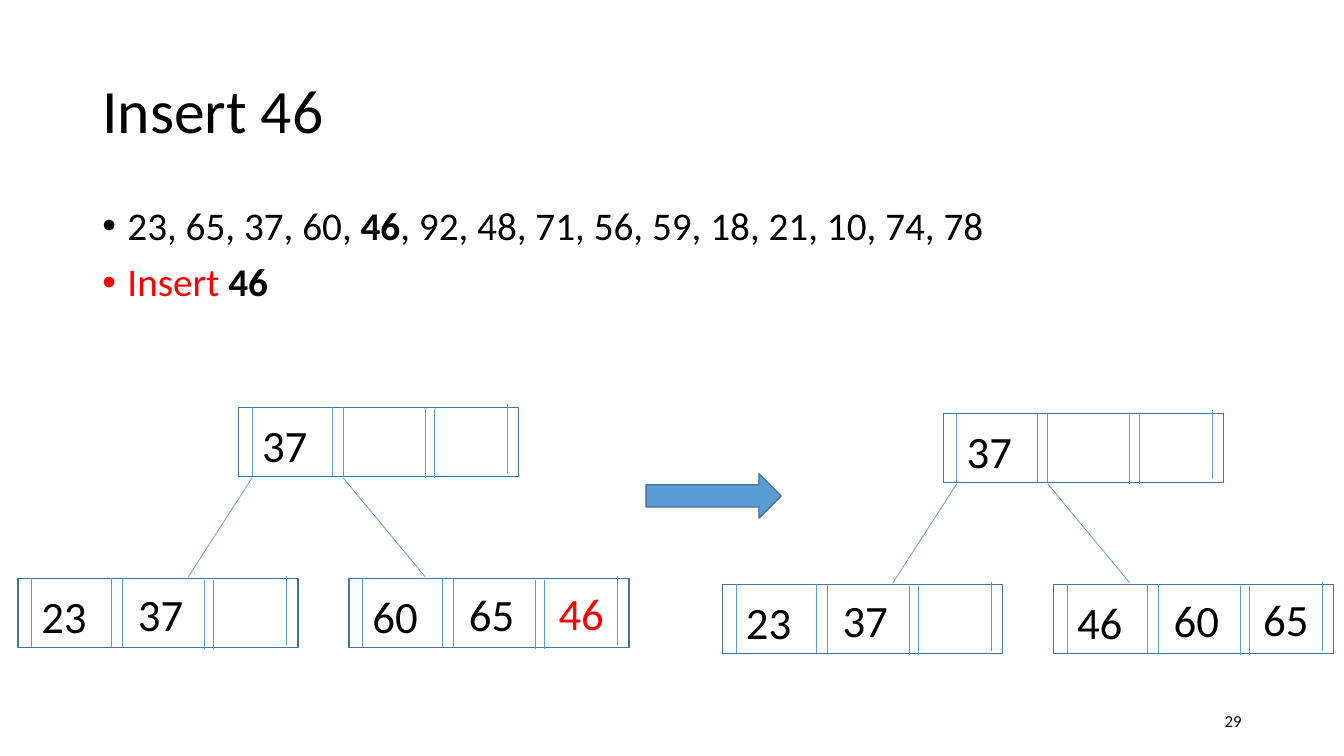
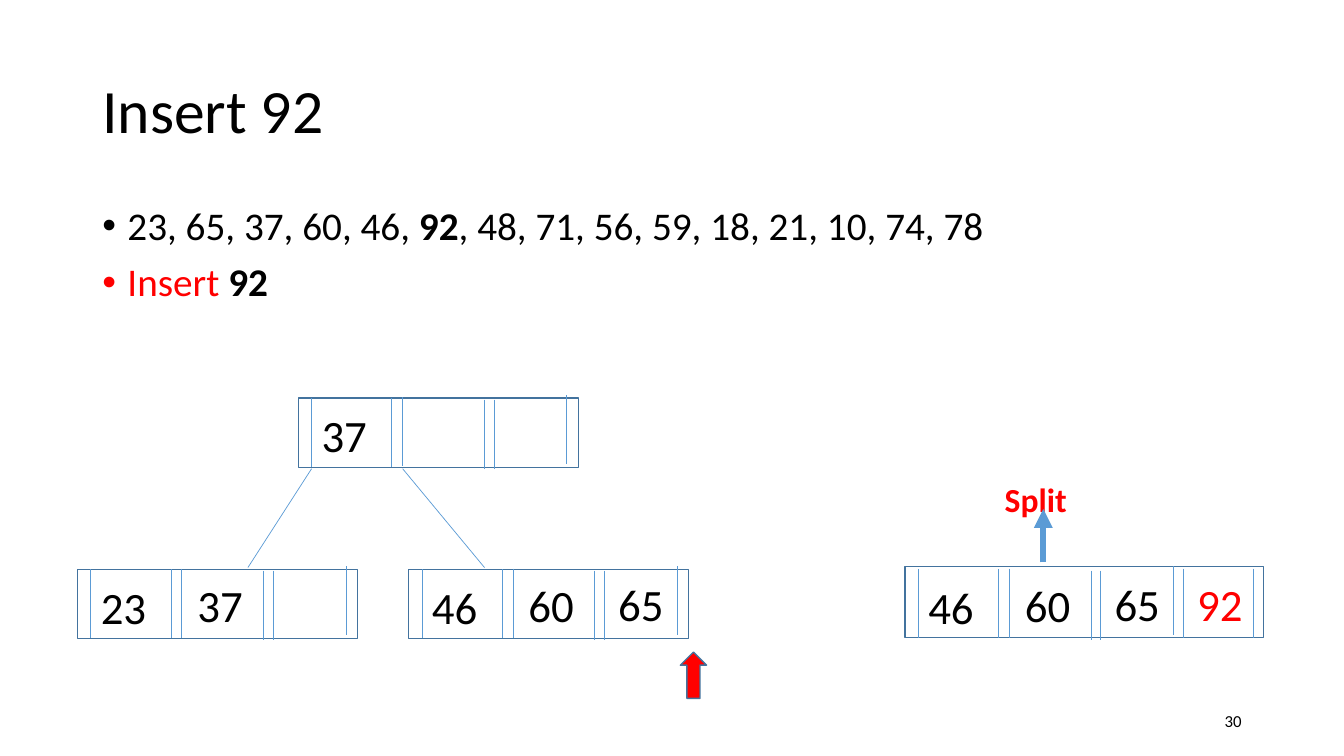
from lxml import etree
from pptx import Presentation
from pptx.dml.color import RGBColor
from pptx.enum import shapes, text
from pptx.oxml import ns
from pptx.util import Pt

BLACK = RGBColor(0x00, 0x00, 0x00)
RED = RGBColor(0xFF, 0x00, 0x00)
BLUE = RGBColor(0x5B, 0x9B, 0xD5)
OUTLINE = RGBColor(0x43, 0x73, 0x9E)
FONT = "Calibri"

SEQUENCE = [23, 65, 37, 60, 46, 92, 48, 71, 56, 59, 18, 21, 10, 74, 78]

# Node geometry, relative to the node's top left corner
NODE_W, NODE_H, RULE_H = 200, 49.5, 49.3
RULES = [(9.5, 0), (66.8, 0), (74.5, -0.5), (133, 1), (139.7, 1), (191.8, -2)]
FOURTH_RULES = [(199, -0.5), (248.5, -0.5)]
KEYS = [(9.5, 3.6), (78.5, 2.4), (142.5, 1.6), (201.6, 1.6)]
# Tree geometry, relative to the root's top left corner
CHILDREN = [(-157.7, 122.2), (78.8, 122.2)]
EDGES = [((9.5, 50.4), (-36, 121)), ((74.5, 50.4), (133, 121))]


def sub(parent, tag, **attrs):
    """Append a DrawingML element."""
    return etree.SubElement(parent, ns.qn(tag), **attrs)


def add_run(p, words, size, color=BLACK, bold=False):
    """Add one formatted run to a paragraph."""
    r = p.add_run()
    r.text = str(words)
    for name, value in dict(name=FONT, size=Pt(size), bold=bold).items():
        setattr(r.font, name, value)
    r.font.color.rgb = color


def add_box(s, x, y, w, h, **frame):
    """Add a wrapping text box and return its text frame."""
    tf = s.shapes.add_textbox(Pt(x), Pt(y), Pt(w), Pt(h)).text_frame
    for name, value in dict(word_wrap=True, **frame).items():
        setattr(tf, name, value)
    return tf


def add_label(s, words, x, y, w, h, size, color=BLACK, bold=False):
    """Add a single-line label."""
    tf = add_box(s, x, y, w, h)
    add_run(tf.paragraphs[0], words, size, color, bold)


def add_shape(s, kind, x, y, w, h, fill=None):
    """Add an outlined preset shape, hollow unless a fill is given."""
    sp = s.shapes.add_shape(kind, Pt(x), Pt(y), Pt(w), Pt(h))
    sp.shadow.inherit = False
    sp.line.color.rgb = OUTLINE
    sp.line.width = Pt(1)
    if fill is None:
        sp.fill.background()
    else:
        sp.fill.solid()
        sp.fill.fore_color.rgb = fill


def add_line(s, x1, y1, x2, y2, width=0.5, arrow=False):
    """Add a straight blue line, with an arrowhead at its end if asked."""
    c = s.shapes.add_connector(shapes.MSO_CONNECTOR.STRAIGHT,
                               Pt(x1), Pt(y1), Pt(x2), Pt(y2))
    c.line.color.rgb = BLUE
    c.line.width = Pt(width)
    if arrow:
        sub(c.line._get_or_add_ln(), "a:tailEnd", type="triangle")
    sub(c._element.spPr, "a:effectLst")


def add_node(s, x, y, keys, new=None):
    """Draw a B-tree node; the newly inserted key is red."""
    wide = len(keys) > 3
    if wide:
        add_shape(s, shapes.MSO_SHAPE.RECTANGLE, x, y - 2, 256, 51)
    else:
        add_shape(s, shapes.MSO_SHAPE.RECTANGLE, x, y, NODE_W, NODE_H)
    for dx, dy in RULES + (FOURTH_RULES if wide else []):
        add_line(s, x + dx, y + dy, x + dx, y + dy + RULE_H)
    for key, (dx, dy) in zip(keys, KEYS):
        add_label(s, key, x + dx, y + dy, 57.3, 46, 32,
                  RED if key == new else BLACK)


def add_tree(s, x, y, root, leaves, new=None):
    """Draw a root node with two leaves below it."""
    add_node(s, x, y, root)
    for (x1, y1), (x2, y2) in EDGES:
        add_line(s, x + x1, y + y1, x + x2, y + y2)
    for keys, (dx, dy) in zip(leaves, CHILDREN):
        add_node(s, x + dx, y + dy, keys, new)


def add_bullet(p, runs):
    """Fill a bulleted paragraph with (text, colour, bold) runs."""
    p.line_spacing = 0.9
    p.space_before = Pt(10)
    pPr = p._p.get_or_add_pPr()
    pPr.set("marL", str(Pt(18)))
    pPr.set("indent", str(Pt(-18)))
    sub(pPr, "a:buFont", typeface="Arial")
    sub(pPr, "a:buChar", char="\u2022")
    for words, color, bold in runs:
        add_run(p, words, 28, color, bold)


def add_slide(prs, key, number):
    """Add a slide with title, key sequence and page number."""
    s = prs.slides.add_slide(prs.slide_layouts[5])
    title = s.shapes.title
    frame = dict(left=66, top=28.8, width=828, height=104.4)
    for name, value in frame.items():
        setattr(title, name, Pt(value))
    title.text_frame.vertical_anchor = text.MSO_ANCHOR.MIDDLE
    p = title.text_frame.paragraphs[0]
    p.alignment = text.PP_ALIGN.LEFT
    p.line_spacing = 0.9
    add_run(p, f"Insert {key}", 44)

    at = SEQUENCE.index(key)
    before = "".join(f"{k}, " for k in SEQUENCE[:at])
    after = "".join(f", {k}" for k in SEQUENCE[at + 1:])
    tf = add_box(s, 66, 144, 828, 342.7)
    add_bullet(tf.paragraphs[0], [(before, BLACK, False), (key, BLACK, True),
                                  (after, BLACK, False)])
    add_bullet(tf.add_paragraph(), [("Insert ", RED, False),
                                    (key, BLACK, True)])

    tf = add_box(s, 678, 500.5, 216, 28.8,
                 vertical_anchor=text.MSO_ANCHOR.MIDDLE)
    tf.paragraphs[0].alignment = text.PP_ALIGN.RIGHT
    add_run(tf.paragraphs[0], number, 12)
    return s


def insert_46(prs):
    """Show 46 joining a leaf, then the leaf sorted."""
    s = add_slide(prs, 46, 29)
    add_tree(s, 170.6, 290.9, [37], [[23, 37], [60, 65, 46]], new=46)
    add_shape(s, shapes.MSO_SHAPE.RIGHT_ARROW, 461.5, 338.4, 96.5, 31.7, BLUE)
    add_tree(s, 673.9, 295.2, [37], [[23, 37], [46, 60, 65]])


def insert_92(prs):
    """Show the full leaf that 92 overflows and its split."""
    s = add_slide(prs, 92, 30)
    add_tree(s, 213.1, 284.4, [37], [[23, 37], [46, 60, 65]])
    add_node(s, 646.5, 406.6, [46, 60, 65, 92], new=92)
    add_label(s, "Split", 710.6, 338.4, 69.1, 36, 24, RED, True)
    add_line(s, 745.2, 401.8, 745.2, 363.6, 4.5, arrow=True)
    add_shape(s, shapes.MSO_SHAPE.UP_ARROW, 486, 465.8, 18.7, 33.1, RED)


def main():
    """Build and save the presentation."""
    prs = Presentation()
    prs.slide_width, prs.slide_height = Pt(960), Pt(540)
    insert_46(prs)
    insert_92(prs)
    prs.save("out.pptx")


main()
